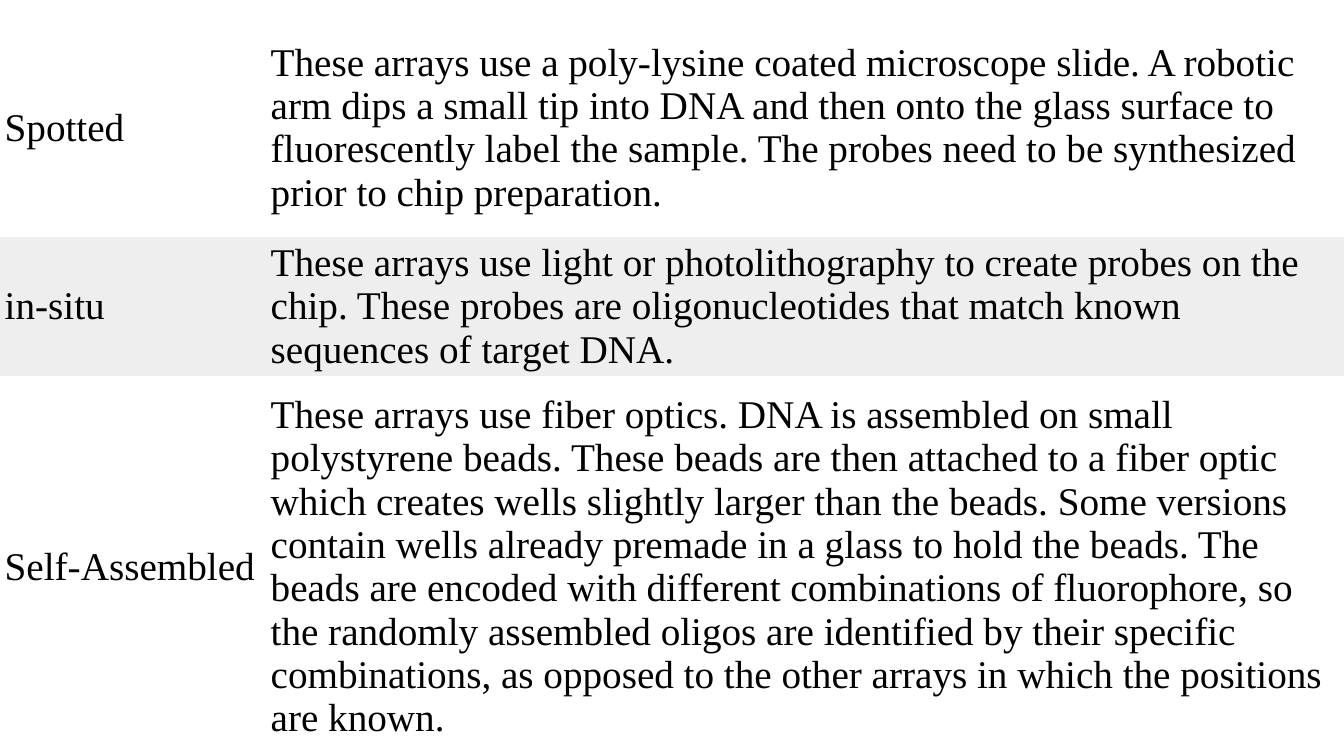
from pptx import Presentation
from pptx.dml.color import RGBColor
from pptx.enum.text import MSO_ANCHOR as Anchor
from pptx.oxml.ns import qn
from pptx.util import Pt

BLACK = RGBColor(0x00, 0x00, 0x00)
WHITE = RGBColor(0xFF, 0xFF, 0xFF)
GREY = RGBColor(0xEE, 0xEE, 0xEE)
FONT = "Times New Roman"
PLAIN = "{2D5ABB26-0587-4C30-8999-92F81FD0307C}"
WIDTHS = [190, 770]
HEIGHTS = [155.5, 99, 272]
ARRAYS = [
    ("Spotted",
     "These arrays use a poly-lysine coated microscope slide. A robotic arm "
     "dips a small tip into DNA and then onto the glass surface to "
     "fluorescently label the sample. The probes need to be synthesized "
     "prior to chip preparation."),
    ("in-situ",
     "These arrays use light or photolithography to create probes on the "
     "chip. These probes are oligonucleotides that match known sequences of "
     "target DNA."),
    ("Self-Assembled",
     "These arrays use fiber optics. DNA is assembled on small polystyrene "
     "beads. These beads are then attached to a fiber optic which creates "
     "wells slightly larger than the beads. Some versions contain wells "
     "already premade in a glass to hold the beads. The beads are encoded "
     "with different combinations of fluorophore, so the randomly assembled "
     "oligos are identified by their specific combinations, as opposed to "
     "the other arrays in which the positions are known."),
]


def fill_cell(cell, text, color):
    cell.fill.solid()
    cell.fill.fore_color.rgb = color
    cell.vertical_anchor = Anchor.MIDDLE
    cell.margin_left = cell.margin_right = Pt(3.4)
    cell.margin_top = cell.margin_bottom = Pt(3.4)
    cell.text_frame.text = text
    font = cell.text_frame.paragraphs[0].runs[0].font
    font.name = FONT
    font.size = Pt(28)
    font.color.rgb = BLACK


def add_grid(slide, rows):
    frame = slide.shapes.add_table(
        len(rows), len(WIDTHS), Pt(0), Pt(13.7),
        Pt(sum(WIDTHS)), Pt(sum(HEIGHTS)))
    for style in frame.element.iter(qn("a:tableStyleId")):
        style.text = PLAIN
    table = frame.table
    table.first_row = table.horz_banding = False
    for col, width in zip(table.columns, WIDTHS):
        col.width = Pt(width)
    for i, (row, height, texts) in enumerate(zip(table.rows, HEIGHTS, rows)):
        row.height = Pt(height)
        for cell, text in zip(row.cells, texts):
            fill_cell(cell, text, GREY if i % 2 else WHITE)


def main():
    deck = Presentation()
    deck.slide_width, deck.slide_height = Pt(960), Pt(540)
    slide = deck.slides.add_slide(deck.slide_layouts[6])
    add_grid(slide, ARRAYS)
    deck.save("out.pptx")


if __name__ == "__main__":
    main()
